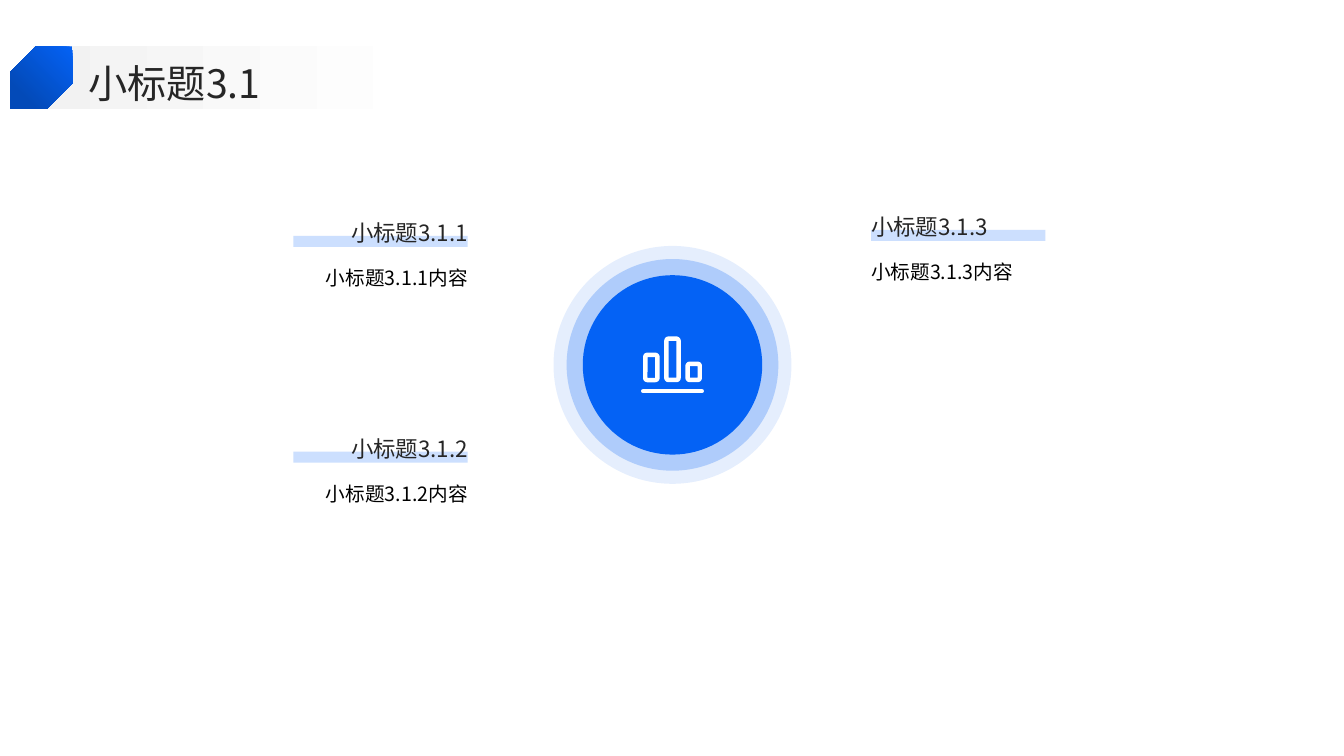
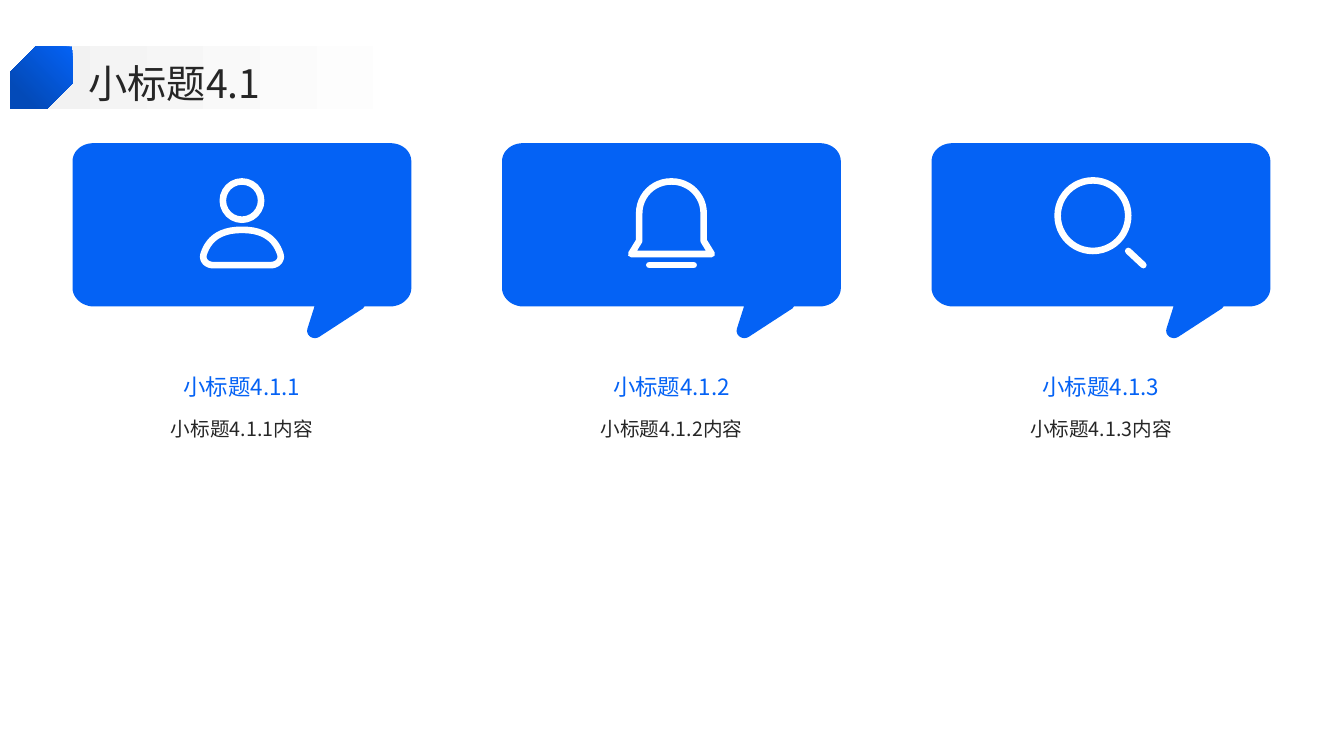
from lxml import etree
from pptx import Presentation
from pptx import util as u
from pptx.dml import color
from pptx.enum import shapes, text
from pptx.oxml import ns

FONT = "Noto Sans CJK SC"
BLUE = color.RGBColor(0x04, 0x62, 0xF5)
DEEP_BLUE = color.RGBColor(0x03, 0x4A, 0xB8)
PALE_BLUE = color.RGBColor(0xCC, 0xDF, 0xFE)
GREY = color.RGBColor(0xF2, 0xF2, 0xF2)
INK = color.RGBColor(0x26, 0x26, 0x26)
BLACK = color.RGBColor(0, 0, 0)
WHITE = color.RGBColor(0xFF, 0xFF, 0xFF)

PRESET = shapes.MSO_SHAPE
ALIGN = text.PP_ALIGN
ANCHOR = text.MSO_ANCHOR

ICON_STROKE = 4.7
CHART_STROKE = 3.2
TOPIC_WIDTH = 3.74
CARD_WIDTH = 3.36


def box(left, top, width, height):
    """Convert a box in inches to lengths."""
    return [u.Inches(side) for side in (left, top, width, height)]


def paint(shape, fill=None, alpha=None, stroke=None):
    """Give a shape a flat fill, or a white stroke in points."""
    shape.shadow.inherit = False
    if fill is None:
        shape.fill.background()
    else:
        shape.fill.solid()
        shape.fill.fore_color.rgb = fill
    if alpha is not None:
        rgb = shape.element.spPr.find(".//" + ns.qn("a:srgbClr"))
        etree.SubElement(rgb, ns.qn("a:alpha"), val=str(alpha * 1000))
    if stroke is None:
        shape.line.fill.background()
    else:
        shape.line.color.rgb = WHITE
        shape.line.width = u.Pt(stroke)
    return shape


def add_preset(slide, preset, bounds, **style):
    """Add a painted preset shape."""
    return paint(slide.shapes.add_shape(preset, *box(*bounds)), **style)


def add_gradient(slide, preset, bounds, stops, angle):
    """Add a preset shape whose gradient ends at 80 percent."""
    shape = add_preset(slide, preset, bounds)
    shape.fill.gradient()
    shape.fill.gradient_angle = angle
    for stop, rgb, position in zip(shape.fill.gradient_stops, stops, (0, 0.8)):
        stop.color.rgb = rgb
        stop.position = position
    return shape


def add_text(slide, bounds, words, size, rgb, align=ALIGN.LEFT,
             anchor=ANCHOR.TOP, spacing=1.5):
    """Add a one-paragraph text box without insets."""
    frame = slide.shapes.add_textbox(*box(*bounds)).text_frame
    frame.word_wrap = True
    frame.vertical_anchor = anchor
    frame.margin_left = frame.margin_right = 0
    frame.margin_top = frame.margin_bottom = 0
    paragraph = frame.paragraphs[0]
    paragraph.text = words
    paragraph.alignment = align
    paragraph.line_spacing = spacing
    font = paragraph.font
    font.size = u.Pt(size)
    font.color.rgb = rgb
    font.name = FONT
    defaults = paragraph._p.pPr.find(ns.qn("a:defRPr"))
    etree.SubElement(defaults, ns.qn("a:ea"), typeface=FONT)


def add_stroke(slide, x1, y1, x2, y2, width):
    """Add a white line with round ends."""
    ends = [u.Inches(value) for value in (x1, y1, x2, y2)]
    line = slide.shapes.add_connector(shapes.MSO_CONNECTOR.STRAIGHT, *ends)
    line.line.color.rgb = WHITE
    line.line.width = u.Pt(width)
    properties = line.element.spPr
    properties.find(ns.qn("a:ln")).set("cap", "rnd")
    etree.SubElement(properties, ns.qn("a:effectLst"))


def curve_points(start, curve, count=12):
    """Sample a cubic curve given by two controls and an end."""
    knots = [start, curve[:2], curve[2:4], curve[4:]]
    for step in range(1, count + 1):
        t = step / count
        weights = ((1 - t) ** 3, 3 * t * (1 - t) ** 2, 3 * t * t * (1 - t), t ** 3)
        yield tuple(sum(w * knot[axis] for w, knot in zip(weights, knots))
                    for axis in (0, 1))


def add_outline(slide, x, y, start, steps, **style):
    """Add a closed outline of points and six-number curves, measured from x, y."""
    points = [start]
    for step in steps:
        points += [step] if len(step) == 2 else curve_points(points[-1], step)
    placed = [(u.Inches(x + dx), u.Inches(y + dy)) for dx, dy in points]
    builder = slide.shapes.build_freeform(*placed[0])
    builder.add_line_segments(placed[1:], close=True)
    paint(builder.convert_to_shape(), **style)


def add_ring(slide, x, y, radius, **style):
    """Add a circle around a centre."""
    bounds = (x - radius, y - radius, 2 * radius, 2 * radius)
    add_preset(slide, PRESET.OVAL, bounds, **style)


def add_header(slide, title):
    """Add the title with its fading band and snipped badge."""
    left, top, height = 0.1, 0.46, 0.62
    add_gradient(slide, PRESET.RECTANGLE, (left + 0.23, top, 4.92, height),
                 (GREY, WHITE), 0)
    add_text(slide, (left + 0.78, top + 0.08, 11.88, 0.51), title, 28, INK,
             anchor=ANCHOR.MIDDLE, spacing=1.1)
    badge = add_gradient(slide, PRESET.SNIP_2_DIAG_RECTANGLE,
                         (left, top, height, height), (BLUE, DEEP_BLUE), 225)
    badge.adjustments[0] = 0.41
    badge.adjustments[1] = 0


def add_topic(slide, left, top, heading, align, body_height):
    """Add a heading on a pale underline with its content below."""
    underline = 1.73
    shift = TOPIC_WIDTH - underline if align == ALIGN.RIGHT else 0
    add_preset(slide, PRESET.RECTANGLE, (left + shift, top + 0.37, underline, 0.11),
               fill=PALE_BLUE)
    add_text(slide, (left, top, TOPIC_WIDTH, 0.47), heading, 16, INK, align,
             ANCHOR.BOTTOM)
    add_text(slide, (left, top + 0.55, TOPIC_WIDTH, body_height),
             heading + "内容", 14, BLACK, align)


def add_hub(slide, x, y):
    """Add the ringed disc with a bar chart icon."""
    for radius, alpha in ((1.18, 10), (1.05, 24), (0.89, None)):
        add_ring(slide, x, y, radius, fill=BLUE, alpha=alpha)
    for index, height in enumerate((0.25, 0.41, 0.16)):
        bounds = (x - 0.27 + 0.21 * index, y + 0.15 - height, 0.12, height)
        bar = add_preset(slide, PRESET.ROUNDED_RECTANGLE, bounds, stroke=CHART_STROKE)
        bar.adjustments[0] = 0.17
    add_stroke(slide, x - 0.29, y + 0.26, x + 0.29, y + 0.26, CHART_STROKE)


def add_person(slide, x, y):
    """Add a person icon centred on x below y."""
    add_ring(slide, x, y + 0.57, 0.19, stroke=ICON_STROKE)
    add_outline(slide, x, y, (0, 0.86), [
        (0.25, 0.86, 0.34, 0.98, 0.38, 1.1), (0.4, 1.16, 0.35, 1.21, 0.29, 1.21),
        (-0.29, 1.21), (-0.35, 1.21, -0.4, 1.16, -0.38, 1.1),
        (-0.34, 0.98, -0.25, 0.86, 0, 0.86)], stroke=ICON_STROKE)


def add_bell(slide, x, y):
    """Add a bell icon centred on x below y."""
    add_outline(slide, x, y, (-0.32, 0.7), [
        (-0.32, 0.52, -0.18, 0.38, 0, 0.38), (0.18, 0.38, 0.32, 0.52, 0.32, 0.7),
        (0.32, 0.97), (0.4, 1.1), (-0.4, 1.1), (-0.32, 0.97)], stroke=ICON_STROKE)
    add_stroke(slide, x - 0.22, y + 1.21, x + 0.22, y + 1.21, ICON_STROKE)


def add_magnifier(slide, x, y):
    """Add a magnifier icon centred on x below y."""
    add_ring(slide, x - 0.08, y + 0.72, 0.35, stroke=ICON_STROKE)
    add_stroke(slide, x + 0.27, y + 1.07, x + 0.42, y + 1.21, ICON_STROKE)


def add_card(slide, left, top, heading, add_icon):
    """Add a speech bubble with an icon, a heading and content."""
    add_outline(slide, left, top, (3.15, 0), [
        (0.21, 0), (0.09, 0, 0, 0.08, 0, 0.18),
        (0, 1.44), (0, 1.53, 0.09, 1.62, 0.21, 1.62),
        (2.4, 1.62), (2.33, 1.84), (2.31, 1.91, 2.39, 1.96, 2.45, 1.92),
        (2.88, 1.64), (2.89, 1.63, 2.89, 1.62, 2.9, 1.62),
        (3.15, 1.62), (3.27, 1.62, 3.36, 1.53, 3.36, 1.44),
        (3.36, 0.18), (3.36, 0.08, 3.27, 0, 3.15, 0)], fill=BLUE)
    add_icon(slide, left + CARD_WIDTH / 2, top)
    add_text(slide, (left, top + 2.6, CARD_WIDTH, 2.75), heading + "内容", 14, INK,
             ALIGN.CENTER)
    add_text(slide, (left, top + 2.07, CARD_WIDTH, 0.48), heading, 16, BLUE,
             ALIGN.CENTER, ANCHOR.BOTTOM, 1.3)


def build_hub_slide(slide):
    """Build the slide with topics around a hub."""
    add_hub(slide, 6.67, 3.62)
    topics = ((0.9, 1.97, ALIGN.RIGHT, 1.51), (0.9, 4.11, ALIGN.RIGHT, 1.51),
              (8.64, 1.91, ALIGN.LEFT, 2.95))
    for number, (left, top, align, body_height) in enumerate(topics, 1):
        add_topic(slide, left, top, f"小标题3.1.{number}", align, body_height)
    add_header(slide, "小标题3.1")


def build_card_slide(slide):
    """Build the slide with a row of speech bubbles."""
    for index, add_icon in enumerate((add_person, add_bell, add_magnifier)):
        add_card(slide, 0.72 + 4.26 * index, 1.42, f"小标题4.1.{index + 1}", add_icon)
    add_header(slide, "小标题4.1")


def main():
    """Build and save the presentation."""
    deck = Presentation()
    deck.slide_width, deck.slide_height = u.Inches(13.33), u.Inches(7.5)
    for build in (build_hub_slide, build_card_slide):
        build(deck.slides.add_slide(deck.slide_layouts[6]))
    deck.save("out.pptx")


if __name__ == "__main__":
    main()
